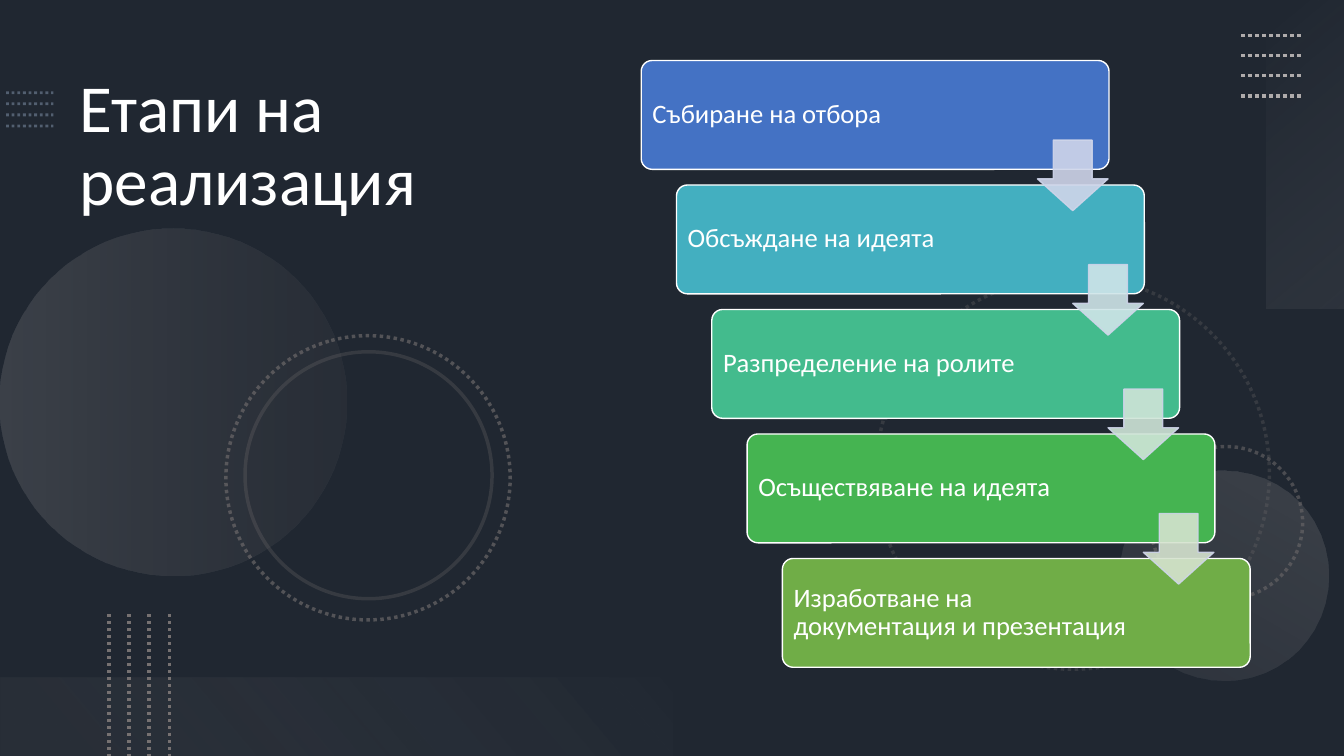
"""Build a slide with the five stages of a project as descending steps."""
import lxml.etree
import pptx
import pptx.dml.color
import pptx.enum.dml
import pptx.enum.shapes
import pptx.enum.text
import pptx.oxml.ns
import pptx.util

Inches = pptx.util.Inches
Pt = pptx.util.Pt
Shape = pptx.enum.shapes.MSO_SHAPE
Anchor = pptx.enum.text.MSO_ANCHOR
ROUND_DOT = pptx.enum.dml.MSO_LINE.ROUND_DOT
qn = pptx.oxml.ns.qn


def paint(color, hex_code, opacity=100):
    color.rgb = pptx.dml.color.RGBColor.from_string(hex_code)
    if opacity < 100:
        element = color._color._xClr
        lxml.etree.SubElement(element, qn("a:alpha")).set("val", str(opacity * 1000))


def write_text(shape, text, size, anchor, margins, color="FFFFFF", font="Calibri"):
    frame = shape.text_frame
    frame.word_wrap = True
    frame.vertical_anchor = anchor
    frame.margin_left, frame.margin_top, frame.margin_right, frame.margin_bottom = map(Inches, margins)
    paragraph = frame.paragraphs[0]
    paragraph.alignment = pptx.enum.text.PP_ALIGN.LEFT
    paragraph.line_spacing = 0.9
    run = paragraph.add_run()
    run.text = text
    run.font.size = Pt(size)
    run.font.name = font
    paint(run.font.color, color)


presentation = pptx.Presentation()
presentation.slide_width = Inches(13.33)
presentation.slide_height = Inches(7.5)
slide = presentation.slides.add_slide(presentation.slide_layouts[6])
shapes = slide.shapes
slide.background.fill.solid()
paint(slide.background.fill.fore_color, "44546A")

overlay = shapes.add_shape(Shape.RECTANGLE, 0, 0, presentation.slide_width, presentation.slide_height)
overlay.shadow.inherit = False
overlay.fill.solid()
paint(overlay.fill.fore_color, "000000", 53)
overlay.line.fill.background()

gradient_shapes = [
    (Shape.OVAL, (0, 2.27, 3.44, 3.44), 270, 90, [(0, "AFABAB", 20), (1, "767171", 10)]),
    (Shape.OVAL, (11.1, 4.67, 2.08, 2.08), 210, 90, [(0, "AFABAB", 10), (1, "AFABAB", 20)]),
    (Shape.RECTANGLE, (11.42, 1.14, 3.06, 0.78), 270, 140, [(0, "F5F5F5", 0), (1, "AFABAB", 10)]),
    (Shape.RECTANGLE, (0, 6.72, 6.67, 0.78), 180, 140, [(0.1, "767171", 10), (1, "F1F0F0", 0)]),
]
for kind, box, rotation, angle, stops in gradient_shapes:
    shape = shapes.add_shape(kind, *map(Inches, box))
    shape.shadow.inherit = False
    shape.rotation = rotation
    shape.line.fill.background()
    shape.fill.gradient()
    shape.fill.gradient_angle = 360 - angle
    for stop, (position, color, opacity) in zip(shape.fill.gradient_stops, stops):
        stop.position = position
        paint(stop.color, color, opacity)

rings = [
    (8.69, 2.74, 3.9, 25, True),
    (11.41, 4.43, 1.51, 50, True),
    (2.24, 3.33, 2.82, 60, True),
    (2.43, 3.49, 2.45, 25, False),
]
for left, top, diameter, opacity, dotted in rings:
    ring = shapes.add_shape(Shape.OVAL, Inches(left), Inches(top), Inches(diameter), Inches(diameter))
    ring.shadow.inherit = False
    ring.rotation = 75
    ring.fill.background()
    ring.line.width = Pt(2.5)
    paint(ring.line.color, "767171", opacity) if ring.line.fill.solid() is None else None
    if dotted:
        ring.line.dash_style = ROUND_DOT

dotted_groups = [
    (0.06, 0.92, 0.47, 0, 0, 0.11, "8497B0", 2, 50),
    (12.31, 0.35, 0.6, 0, 0, 0.2, "AFABAB", 2.5, 100),
    (1.08, 6.09, 0, 1.41, 0.2, 0, "767171", 2.5, 100),
]
for left, top, width, height, step_x, step_y, color, weight, opacity in dotted_groups:
    for index in range(4):
        x, y = left + index * step_x, top + index * step_y
        line = shapes.add_connector(
            pptx.enum.shapes.MSO_CONNECTOR.STRAIGHT,
            Inches(x), Inches(y), Inches(x + width), Inches(y + height))
        line.line.width = Pt(weight)
        line.line.fill.solid()
        paint(line.line.color, color, opacity)
        line.line.dash_style = ROUND_DOT
        lxml.etree.SubElement(line._element.spPr, qn("a:effectLst"))

title = shapes.add_textbox(Inches(0.69), Inches(0.69), Inches(5.41), Inches(6.03))
write_text(title, "Етапи на реализация", 48, Anchor.TOP, (0.1, 0.05, 0.1, 0.05))

stages = [
    ("Събиране на отбора", "4472C4"),
    ("Обсъждане на идеята", "43AFC0"),
    ("Разпределение на ролите", "43BB8D"),
    ("Осъществяване на идеята", "45B451"),
    ("Изработване на документация и презентация", "70AD47"),
]
step_right = 0.35
step_down = (5.54 - 0.6) / (len(stages) - 1)
for index, (text, color) in enumerate(stages):
    stage = shapes.add_shape(
        Shape.ROUNDED_RECTANGLE, Inches(6.36 + index * step_right),
        Inches(0.6 + index * step_down), Inches(4.64), Inches(1.08))
    stage.shadow.inherit = False
    stage.adjustments[0] = 0.1
    stage.fill.solid()
    paint(stage.fill.fore_color, color)
    stage.line.width = Pt(1)
    paint(stage.line.color, "FFFFFF")
    write_text(stage, text, 19, Anchor.MIDDLE, (0.08, 0.08, 1.14, 0.08))

for index, color in enumerate(["CFD5EA", "CFE5E8", "CFE5D8", "D5E3CF"]):
    arrow = shapes.add_shape(
        Shape.DOWN_ARROW, Inches(10.29 + index * step_right),
        Inches(1.39 + index * step_down), Inches(0.7), Inches(0.7))
    arrow.shadow.inherit = False
    arrow.adjustments[0] = 0.45
    arrow.adjustments[1] = 0.45
    arrow.adjustments[0] = 0.55
    arrow.fill.solid()
    paint(arrow.fill.fore_color, color, 90)
    arrow.line.width = Pt(1)
    paint(arrow.line.color, "CFD5EA", 90)

presentation.save("out.pptx")
